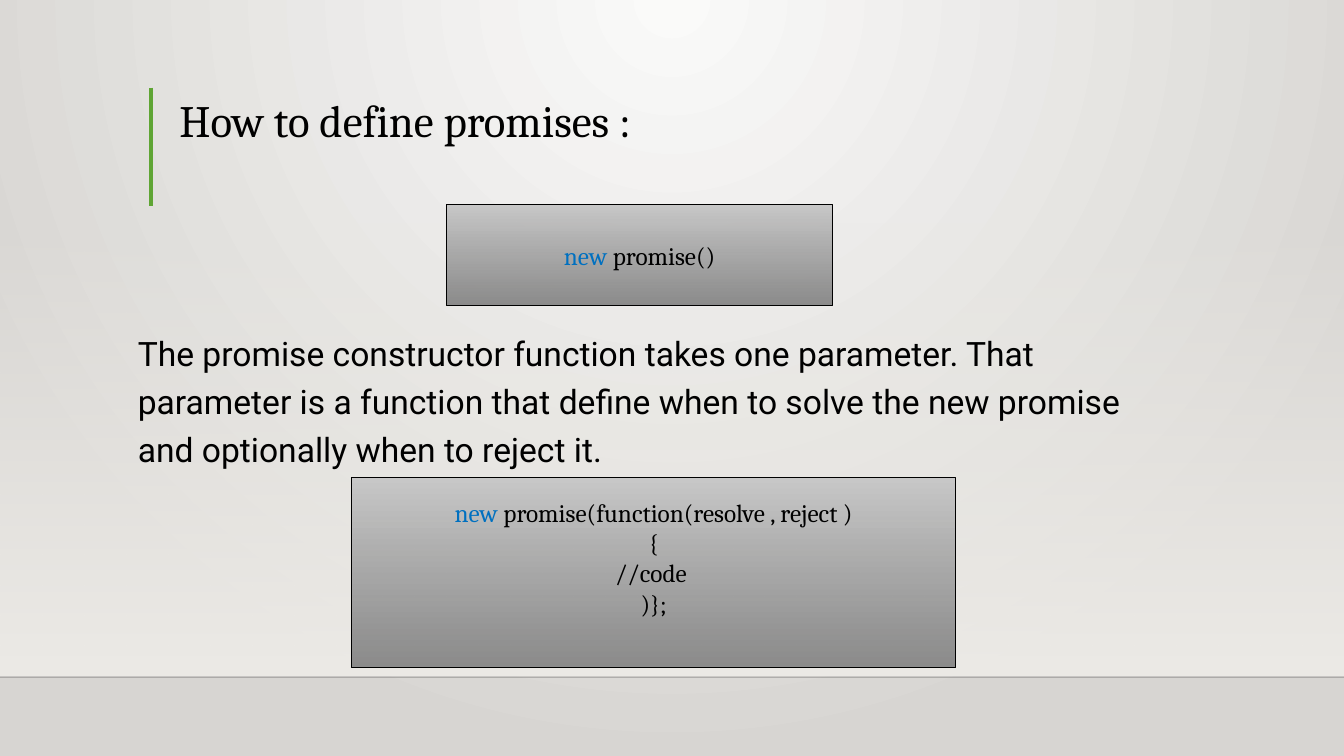
import pptx
import pptx.dml.color
import pptx.enum.shapes
import pptx.enum.text
import pptx.oxml
import pptx.oxml.ns
import pptx.util
from lxml import etree

Pt = pptx.util.Pt
RGBColor = pptx.dml.color.RGBColor
qn = pptx.oxml.ns.qn
ANCHOR = pptx.enum.text.MSO_ANCHOR
ALIGN = pptx.enum.text.PP_ALIGN

BLACK = RGBColor(0x00, 0x00, 0x00)
KEYWORD_BLUE = RGBColor(0x00, 0x70, 0xC0)
ACCENT_GREEN = RGBColor(0x5F, 0xA5, 0x34)
GLOW = RGBColor(0xFA, 0xFA, 0xF9)
EDGE = RGBColor(0xD7, 0xD5, 0xD2)
WALL = RGBColor(0xED, 0xEB, 0xE7)
LIGHT_GREY = RGBColor(0xC8, 0xC8, 0xC8)
DARK_GREY = RGBColor(0x84, 0x84, 0x84)


class PromiseSlide:
    heading_font = "Cambria"
    body_font = "Roboto"
    code_size = 18

    def __init__(self, presentation):
        self.slide = presentation.slides.add_slide(presentation.slide_layouts[6])

    def set_opacity(self, color_element, percent):
        if percent < 100:
            etree.SubElement(color_element, qn("a:alpha"), val=str(percent * 1000))

    def gradient(self, fill, element, colors, opacities=(100, 100)):
        """Fill from top to bottom and return the gradient element."""
        fill.gradient()
        fill.gradient_angle = 270
        for stop, color, position in zip(fill.gradient_stops, colors, (0, 1)):
            stop.color.rgb = color
            stop.position = position
        gradient = next(element.iter(qn("a:gradFill")))
        for color_element, percent in zip(gradient.iter(qn("a:srgbClr")), opacities):
            self.set_opacity(color_element, percent)
        return gradient

    def background(self, center, edge):
        gradient = self.gradient(self.slide.background.fill, self.slide._element,
                                 (center, edge))
        circle = etree.Element(qn("a:path"), path="circle")
        etree.SubElement(circle, qn("a:fillToRect"),
                         l="43000", t="0", r="43000", b="100000")
        gradient.replace(gradient.find(qn("a:lin")), circle)

    def panel(self, left, top, width, height, colors, opacities, outlined=True):
        shape = self.slide.shapes.add_shape(
            pptx.enum.shapes.MSO_SHAPE.RECTANGLE,
            Pt(left), Pt(top), Pt(width), Pt(height))
        shape.shadow.inherit = False
        self.gradient(shape.fill, shape._element, colors, opacities)
        if outlined:
            shape.line.color.rgb = BLACK
            shape.line.width = Pt(0.75)
        else:
            shape.line.fill.background()
        return shape

    def line(self, start, end, color, width, opacity=100):
        connector = self.slide.shapes.add_connector(
            pptx.enum.shapes.MSO_CONNECTOR.STRAIGHT,
            Pt(start[0]), Pt(start[1]), Pt(end[0]), Pt(end[1]))
        connector.line.color.rgb = color
        connector.line.width = Pt(width)
        properties = connector._element.spPr
        self.set_opacity(next(properties.iter(qn("a:srgbClr"))), opacity)
        etree.SubElement(properties, qn("a:effectLst"))

    def style(self, run, font, size, color=BLACK):
        run.font.name = font
        run.font.size = Pt(size)
        run.font.color.rgb = color

    def text(self, left, top, width, height, text, font, size, spacing, inset=3.6):
        box = self.slide.shapes.add_textbox(Pt(left), Pt(top), Pt(width), Pt(height))
        frame = box.text_frame
        frame.word_wrap = True
        frame.margin_top = Pt(inset)
        frame.text = text
        paragraph = frame.paragraphs[0]
        paragraph.line_spacing = spacing
        self.style(paragraph.runs[0], font, size)

    def code(self, left, top, width, height, lines, bottom_inset=3.6):
        """Code panel whose first word is a highlighted keyword."""
        frame = self.panel(left, top, width, height,
                           (LIGHT_GREY, DARK_GREY), (100, 92)).text_frame
        frame.word_wrap = True
        frame.vertical_anchor = ANCHOR.MIDDLE
        frame.margin_bottom = Pt(bottom_inset)
        keyword, rest = lines[0].split(" ", 1)
        frame.text = "\n".join([keyword, *lines[1:]])
        frame.paragraphs[0].add_run().text = " " + rest
        for paragraph in frame.paragraphs:
            paragraph.alignment = ALIGN.CENTER
            for run in paragraph.runs:
                self.style(run, self.heading_font, self.code_size)
        frame.paragraphs[0].runs[0].font.color.rgb = KEYWORD_BLUE


def main():
    presentation = pptx.Presentation()
    presentation.slide_width = Pt(960)
    presentation.slide_height = Pt(540)
    page = PromiseSlide(presentation)

    # Backdrop: wall fading in above the floor line
    page.background(GLOW, EDGE)
    page.panel(0, 158.4, 960, 324, (WALL, WALL), (0, 100), outlined=False)
    page.line((0, 483.8), (960, 483.8), BLACK, 1, opacity=20)

    # Title with accent bar
    page.line((108, 62.6), (108, 146.9), ACCENT_GREEN, 3)
    page.text(121, 63.4, 749.5, 82.8, "How to define promises :",
              page.heading_font, 32, 0.9, inset=7)

    # Explanation
    page.text(91.4, 228.2, 753.8, 115.2,
              "The promise constructor function takes one parameter. That parameter "
              "is a function that define when to solve the new promise and "
              "optionally when to reject it.",
              page.body_font, 24, 1.2)

    # Code panels
    page.code(319, 146.2, 275.8, 72, ["new promise()"])
    page.code(251.3, 341.3, 431.3, 135.4,
              ["new promise(function(resolve , reject )", "{", "//code ", ")};"],
              bottom_inset=25)

    presentation.save("out.pptx")


if __name__ == "__main__":
    main()
